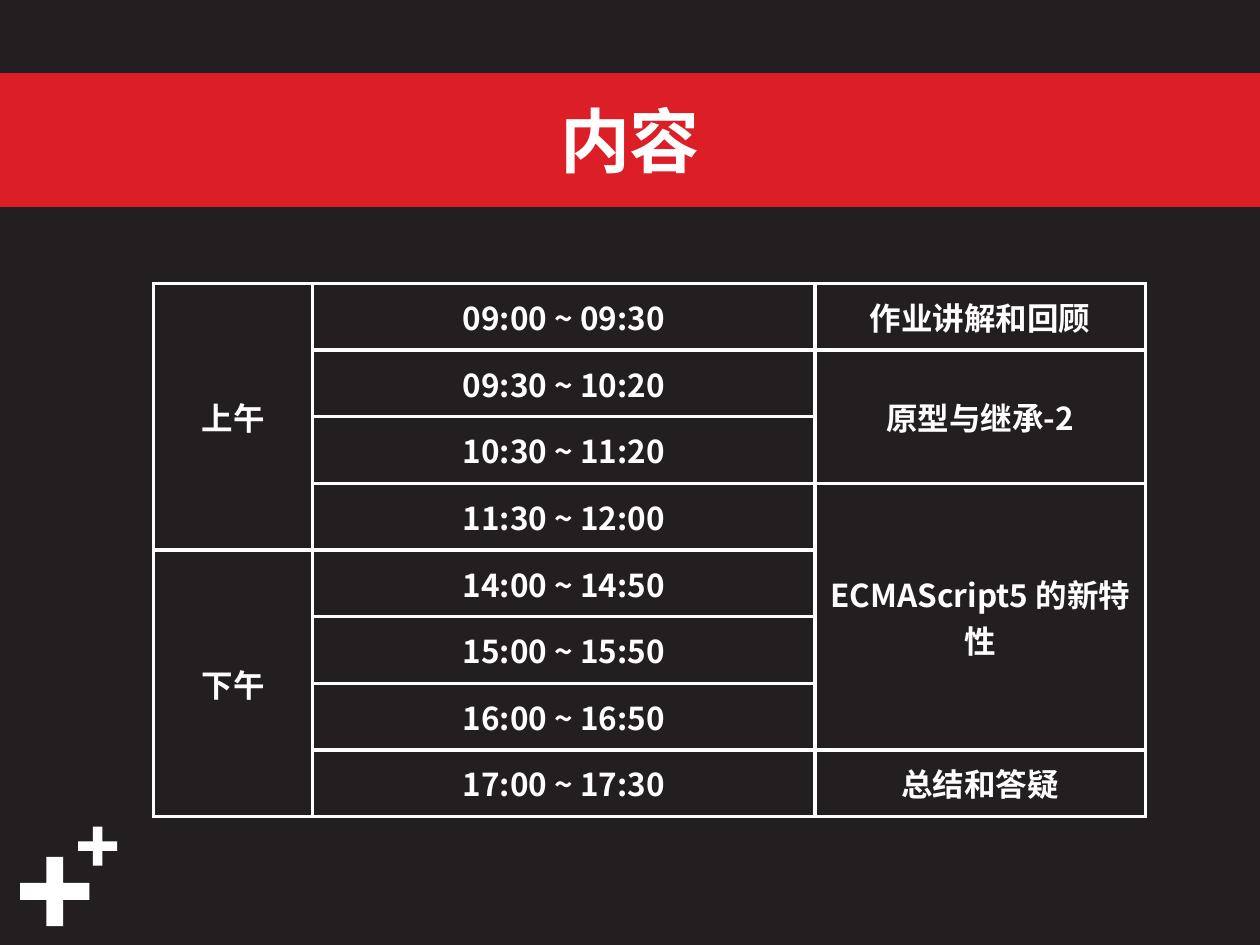
"""Build the course-day agenda slide."""
from dataclasses import dataclass

import pptx
import pptx.dml.color
import pptx.enum.shapes
import pptx.enum.text
import pptx.oxml
import pptx.oxml.ns
import pptx.util
from pptx.util import Inches


@dataclass(frozen=True)
class Theme:
    """Colours, font and sizes of the slide."""
    dark: str = "231F20"
    red: str = "DC1F26"
    white: str = "FFFFFF"
    font: str = "Noto Sans CJK SC"
    title_size: float = 40
    table_size: float = 18
    band_line: float = 3
    border: float = 2.25


@dataclass(frozen=True)
class Plus:
    """A decorative plus sign, in inches."""
    left: float
    top: float
    size: float


@dataclass(frozen=True)
class Entry:
    """An agenda cell and the number of rows it covers."""
    text: str
    rows: int = 1


THEME = Theme()
PLUSES = [Plus(0.16, 6.8, 0.55), Plus(0.62, 6.56, 0.31)]
TIMES = ["09:00 ~ 09:30", "09:30 ~ 10:20", "10:30 ~ 11:20", "11:30 ~ 12:00",
         "14:00 ~ 14:50", "15:00 ~ 15:50", "16:00 ~ 16:50", "17:00 ~ 17:30"]
AGENDA = [
    [Entry("上午", 4), Entry("下午", 4)],
    [Entry(time) for time in TIMES],
    [Entry("作业讲解和回顾"), Entry("原型与继承-2", 2),
     Entry("ECMAScript5 的新特性", 4), Entry("总结和答疑")],
]
COLUMN_WIDTHS = [1.26, 3.99, 2.62]
TABLE_HEIGHT = 4.23


def colour(value: str) -> pptx.dml.color.RGBColor:
    """Turn a hex string into a colour."""
    return pptx.dml.color.RGBColor.from_string(value)


def write(text_frame, text: str, size: float) -> None:
    """Write one centred, bold white run."""
    paragraph = text_frame.paragraphs[0]
    paragraph.alignment = pptx.enum.text.PP_ALIGN.CENTER
    run = paragraph.add_run()
    run.text = text
    run.font.size = pptx.util.Pt(size)
    run.font.bold = True
    run.font.name = THEME.font
    run.font.color.rgb = colour(THEME.white)
    east_asian = pptx.oxml.parse_xml(
        f'<a:ea {pptx.oxml.ns.nsdecls("a")} typeface="{THEME.font}"/>')
    run.font._element.find(pptx.oxml.ns.qn("a:latin")).addnext(east_asian)


def add_plus(slide, plus: Plus) -> None:
    """Draw a white plus sign."""
    shape = slide.shapes.add_shape(
        pptx.enum.shapes.MSO_SHAPE.CROSS, Inches(plus.left), Inches(plus.top),
        Inches(plus.size), Inches(plus.size))
    shape.adjustments[0] = 0.378
    shape.shadow.inherit = False
    shape.fill.solid()
    shape.fill.fore_color.rgb = colour(THEME.white)
    shape.line.fill.background()


def format_title(slide, text: str) -> None:
    """Make the title placeholder a full-width red band."""
    title = slide.shapes.title
    title.left, title.top = Inches(0), Inches(0.6)
    title.width, title.height = Inches(10), Inches(1.02)
    title.fill.solid()
    title.fill.fore_color.rgb = colour(THEME.red)
    title.line.color.rgb = colour(THEME.red)
    title.line.width = pptx.util.Pt(THEME.band_line)
    title.text_frame.vertical_anchor = pptx.enum.text.MSO_ANCHOR.MIDDLE
    write(title.text_frame, text, THEME.title_size)


def style_cell(cell) -> None:
    """Clear the fill and draw white borders on all four sides."""
    cell.fill.background()
    cell.vertical_anchor = pptx.enum.text.MSO_ANCHOR.MIDDLE
    properties = cell._tc.get_or_add_tcPr()
    for index, side in enumerate(("lnL", "lnR", "lnT", "lnB")):
        properties.insert(index, pptx.oxml.parse_xml(
            f'<a:{side} {pptx.oxml.ns.nsdecls("a")} '
            f'w="{int(pptx.util.Pt(THEME.border))}"><a:solidFill>'
            f'<a:srgbClr val="{THEME.white}"/></a:solidFill></a:{side}>'))


def add_agenda(slide) -> None:
    """Add the agenda table, merging cells that cover several rows."""
    table = slide.shapes.add_table(
        len(TIMES), len(COLUMN_WIDTHS), Inches(1.22), Inches(2.25),
        Inches(sum(COLUMN_WIDTHS)), Inches(TABLE_HEIGHT)).table
    table.first_row = False
    table.horz_banding = False
    for column, width in zip(table.columns, COLUMN_WIDTHS):
        column.width = Inches(width)
    for cell in table.iter_cells():
        style_cell(cell)
    for column_index, entries in enumerate(AGENDA):
        row = 0
        for entry in entries:
            cell = table.cell(row, column_index)
            if entry.rows > 1:
                cell.merge(table.cell(row + entry.rows - 1, column_index))
            write(cell.text_frame, entry.text, THEME.table_size)
            row += entry.rows


def main() -> None:
    """Build and save the presentation."""
    presentation = pptx.Presentation()
    presentation.slide_width = Inches(10)
    presentation.slide_height = Inches(7.5)
    slide = presentation.slides.add_slide(presentation.slide_layouts[5])
    slide.background.fill.solid()
    slide.background.fill.fore_color.rgb = colour(THEME.dark)
    for plus in PLUSES:
        add_plus(slide, plus)
    format_title(slide, "内容")
    add_agenda(slide)
    presentation.save("out.pptx")


main()
